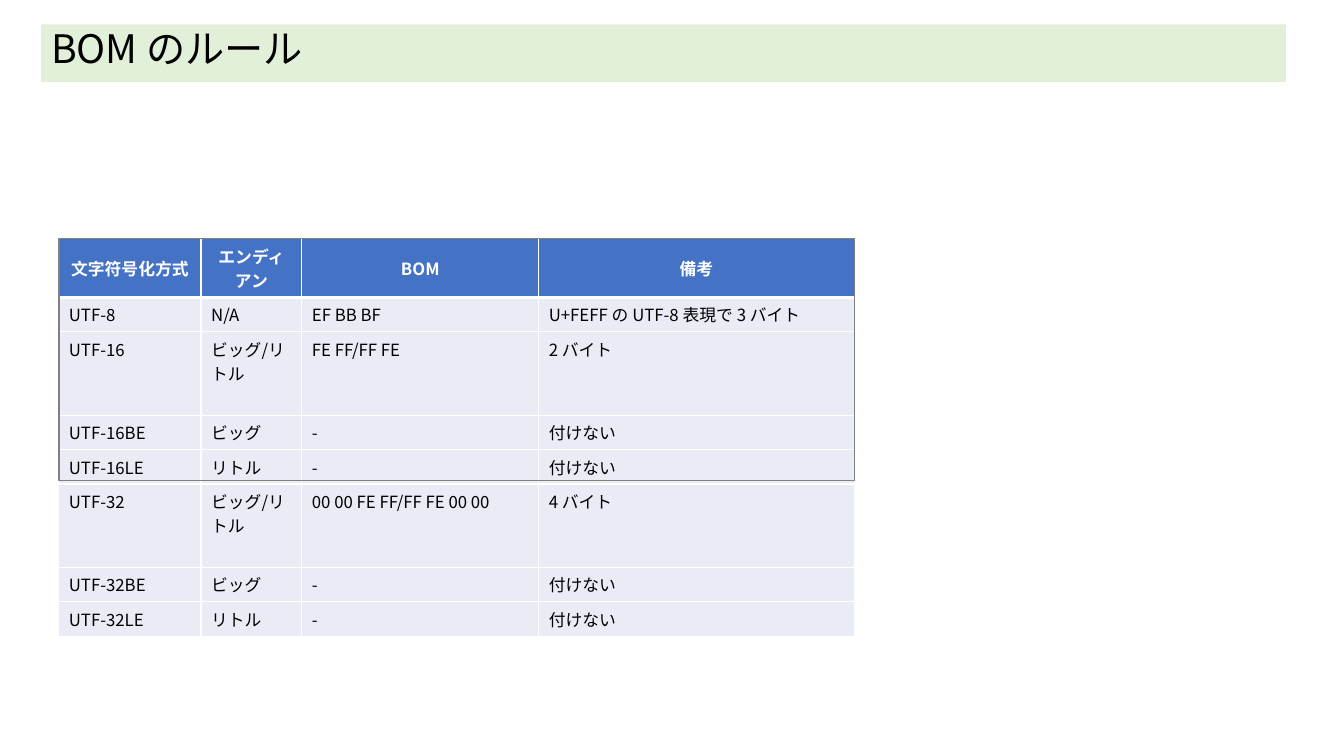
from pptx import Presentation
from pptx.dml.color import RGBColor
from pptx.enum.shapes import MSO_SHAPE
from pptx.enum.text import MSO_ANCHOR, PP_ALIGN
from pptx.oxml.ns import qn
from pptx.util import Pt
from lxml.etree import SubElement

FONT = "Noto Sans CJK JP"
COLORS = {"white": "FFFFFF", "black": "000000", "header": "4472C4",
          "body": "E9EBF5", "title": "E2F0D9", "frame": "808080"}


def add_run(p, text, size, color, bold=False):
    r = p.add_run()
    r.text = text
    r.font.size = Pt(size)
    r.font.bold = bold
    r.font.color.rgb = RGBColor.from_string(COLORS[color])
    r.font.name = FONT
    SubElement(r.font._element, qn("a:ea"), typeface=FONT)


def set_borders(cell, widths):
    tc_pr = cell._tc.get_or_add_tcPr()
    for i, (side, width) in enumerate(widths.items()):
        ln = SubElement(tc_pr, qn(f"a:ln{side}"), w=str(Pt(width)))
        tc_pr.insert(i, ln)
        fill = SubElement(ln, qn("a:solidFill"))
        SubElement(fill, qn("a:srgbClr"), val=COLORS["white"])


prs = Presentation()
prs.slide_width, prs.slide_height = Pt(960), Pt(540)
s = prs.slides.add_slide(prs.slide_layouts[6])

rows = [
    ("文字符号化方式", "エンディアン", "BOM", "備考"),
    ("UTF-8", "N/A", "EF BB BF", "U+FEFF の UTF-8 表現で 3 バイト"),
    ("UTF-16", "ビッグ/リトル", "FE FF/FF FE", "2 バイト"),
    ("UTF-16BE", "ビッグ", "-", "付けない"),
    ("UTF-16LE", "リトル", "-", "付けない"),
    ("UTF-32", "ビッグ/リトル", "00 00 FE FF/FF FE 00 00", "4 バイト"),
    ("UTF-32BE", "ビッグ", "-", "付けない"),
    ("UTF-32LE", "リトル", "-", "付けない"),
]
col_widths = [101.6, 72, 169.2, 225.4]
area = Pt(42), Pt(170.4), Pt(568.2), Pt(172.8)

table = s.shapes.add_table(len(rows), len(col_widths), *area).table
for col, width in zip(table.columns, col_widths):
    col.width = Pt(width)
for i, row in enumerate(rows):
    header = i == 0
    table.rows[i].height = Pt(14.4)
    for j, text in enumerate(row):
        cell = table.cell(i, j)
        cell.fill.solid()
        cell.fill.fore_color.rgb = RGBColor.from_string(COLORS["header" if header else "body"])
        set_borders(cell, {"L": 1, "R": 1, "T": 3 if i == 1 else 1, "B": 3 if header else 1})
        p = cell.text_frame.paragraphs[0]
        if header:
            cell.vertical_anchor = MSO_ANCHOR.MIDDLE
            p.alignment = PP_ALIGN.CENTER
        add_run(p, text.replace("-", "-") if text == "-" else text, 12,
                "white" if header else "black", header)

frame = s.shapes.add_shape(MSO_SHAPE.RECTANGLE, *area)
frame.shadow.inherit = False
frame.fill.background()
frame.line.color.rgb = RGBColor.from_string(COLORS["frame"])
frame.line.width = Pt(1)

title = s.shapes.add_shape(MSO_SHAPE.RECTANGLE, Pt(29.4), Pt(17.4), Pt(889.2), Pt(41.2))
title.shadow.inherit = False
title.fill.solid()
title.fill.fore_color.rgb = RGBColor.from_string(COLORS["title"])
title.line.fill.background()
tf = title.text_frame
tf.word_wrap = True
tf.vertical_anchor = MSO_ANCHOR.TOP
p = tf.paragraphs[0]
p.alignment = PP_ALIGN.LEFT
p.line_spacing = 0.9
add_run(p, "BOM のルール", 28, "black")

prs.save("out.pptx")
